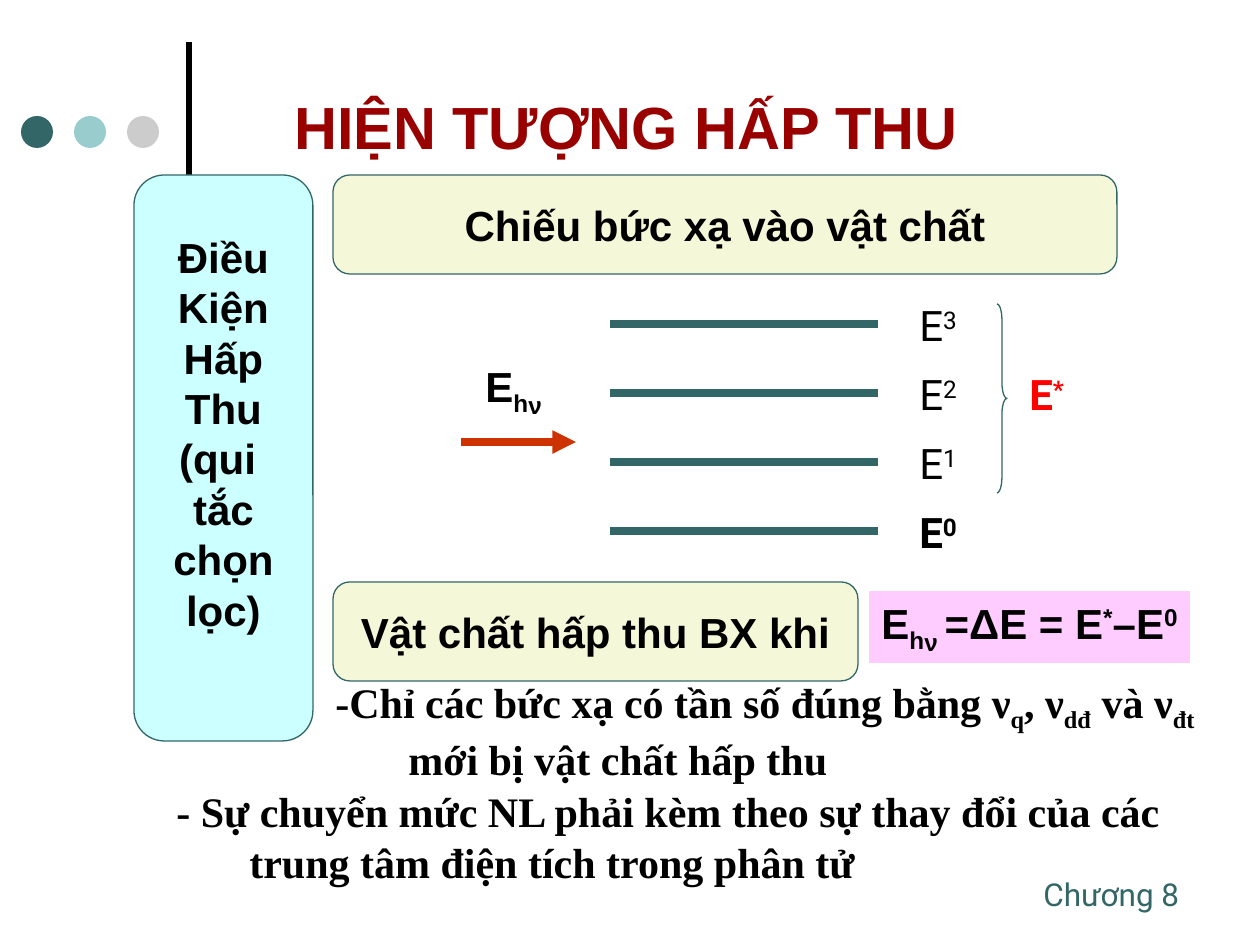
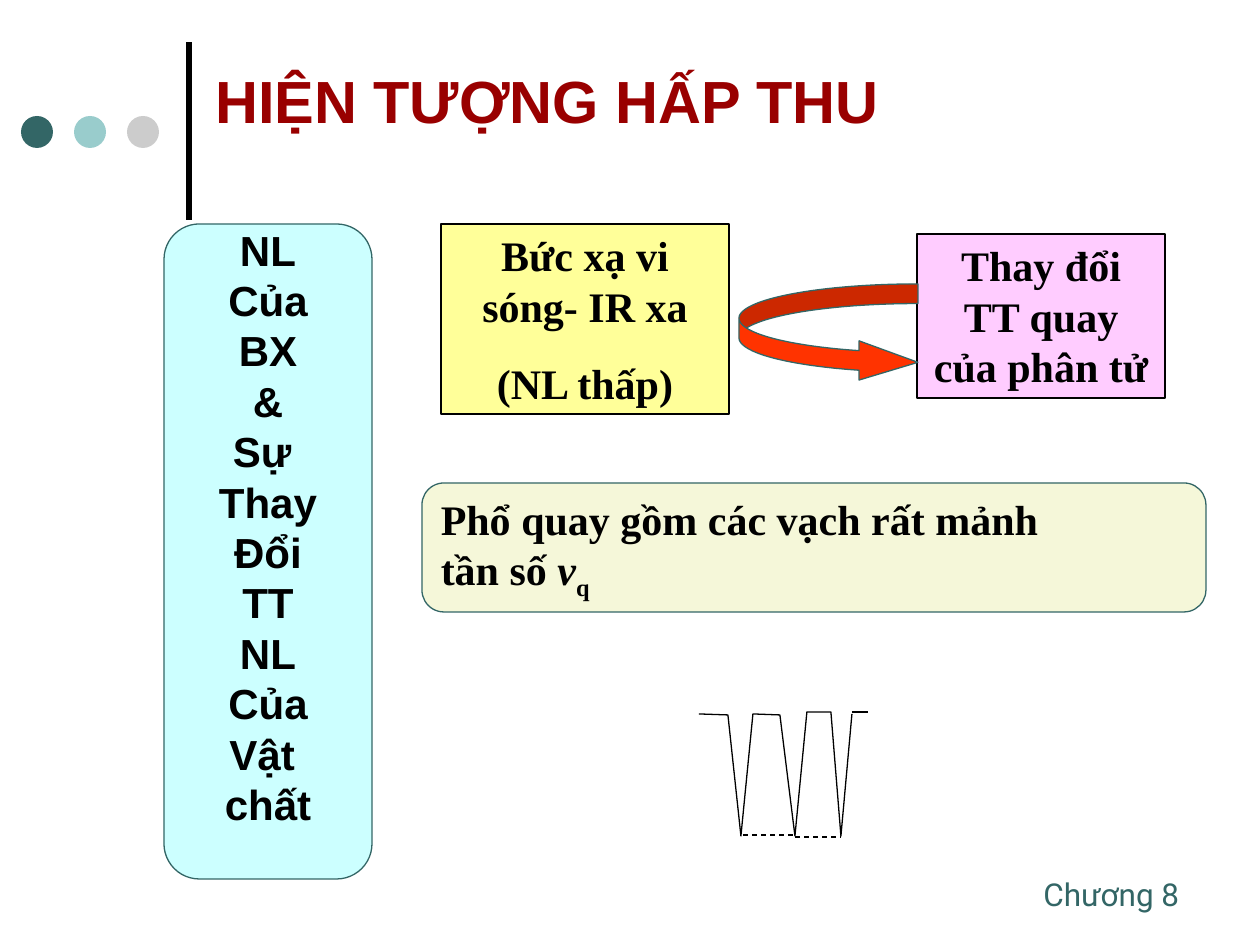
"""Build two slides on light absorption and energy levels."""
import pptx
import pptx.util
from lxml import etree
from pptx.dml.color import RGBColor
from pptx.enum.dml import MSO_LINE
from pptx.enum.shapes import MSO_CONNECTOR, MSO_SHAPE
from pptx.enum.text import MSO_ANCHOR, PP_ALIGN
from pptx.oxml.ns import qn

PX = 914400 / 126
SANS, SERIF, LIGHT = "Arial", "Times New Roman", "Roboto"
BLACK = RGBColor(0x00, 0x00, 0x00)
WHITE = RGBColor(0xFF, 0xFF, 0xFF)
TEAL = RGBColor(0x33, 0x66, 0x66)
AQUA = RGBColor(0x99, 0xCC, 0xCC)
GREY = RGBColor(0xCC, 0xCC, 0xCC)
CYAN = RGBColor(0xCC, 0xFF, 0xFF)
CREAM = RGBColor(0xF5, 0xF7, 0xD9)
PINK = RGBColor(0xFF, 0xCC, 0xFF)
YELLOW = RGBColor(0xFF, 0xFF, 0x99)
MAROON = RGBColor(0x99, 0x00, 0x00)
RUST = RGBColor(0xCC, 0x33, 0x00)
ORANGE = RGBColor(0xFF, 0x33, 0x00)
RED = RGBColor(0xFF, 0x00, 0x00)

TITLE = "HIỆN TƯỢNG HẤP THU"
FOOTER = "Chương 8"
CONDITION = ["Điều", "Kiện", "Hấp", "Thu", "(qui ", "tắc", "chọn", "lọc)"]
ENERGY = ["NL", "Của", "BX", "&", "Sự ", "Thay", "Đổi", "TT", "NL", "Của", "Vật ", "chất"]
PHOTON = [("E", 0), ("h", -25), ("ν", -30)]
BALANCE = [("E", 0), ("h", -25), ("ν ", -30), ("=ΔE = E", 0), ("*", 30), ("–E", 0), ("0", 30)]
RULES = [
    ((323, 670, 902, 121), [
        ("-Chỉ các bức xạ có tần số đúng bằng ν", 0), ("q", -25), (", ν", 0), ("dđ", -25),
        (" và ν", 0), ("đt", -25), (" mới bị vật chất hấp thu", 0)]),
    ((164, 780, 1057, 113),
     "- Sự chuyển mức NL phải kèm theo sự thay đổi của các trung tâm điện tích trong phân tử"),
]
LEVELS = ["3", "2", "1", "0"]
MICROWAVE = ["Bức xạ vi sóng- IR xa", "(NL thấp)"]
ROTATION = ["Thay đổi TT quay của phân tử"]
SPECTRUM = ["Phổ quay gồm các vạch rất mảnh", [("tần số ", 0), ("ν", 0, True), ("q", -25)]]
PEAKS = [(699, 714), (728, 715), (741, 836), (753, 714), (780, 715), (795, 836),
         (807, 712), (831, 712), (841, 836), (852, 714)]


def emu(*lengths):
    return [round(n * PX) for n in lengths]


def write(sp, paragraphs, font=SANS, size=24, color=BLACK, bold=True, align=PP_ALIGN.LEFT,
          anchor=MSO_ANCHOR.TOP, wrap=False, gap=0, hang=0, insets=(6, 6)):
    tf = sp.text_frame
    tf.word_wrap = wrap
    tf.vertical_anchor = anchor
    tf.margin_top, tf.margin_bottom = emu(*insets)
    for i, runs in enumerate(paragraphs):
        p = tf.paragraphs[0] if i == 0 else tf.add_paragraph()
        p.alignment = align
        if i and gap:
            p.space_before = pptx.util.Pt(gap)
        if hang:
            pPr = p._p.get_or_add_pPr()
            pPr.set("marL", str(emu(hang)[0]))
            pPr.set("indent", str(emu(-hang)[0]))
        p.font.name, p.font.size, p.font.bold = font, pptx.util.Pt(size), bold
        p.font.color.rgb = color
        for text, base, *italic in [(runs, 0)] if isinstance(runs, str) else runs:
            r = p.add_run()
            r.text = text
            if base:
                r._r.get_or_add_rPr().set("baseline", str(base * 1000))
            if italic:
                r.font.italic = True
    return sp


def text(s, box, paragraphs, **style):
    return write(s.shapes.add_textbox(*emu(*box)), paragraphs, **style)


def shape(s, kind, box, fill=None, line=None, adjust=()):
    sp = s.shapes.add_shape(kind, *emu(*box))
    sp.shadow.inherit = False
    for i, value in enumerate(adjust):
        sp.adjustments[i] = value
    if fill is None:
        sp.fill.background()
    else:
        sp.fill.solid()
        sp.fill.fore_color.rgb = fill
    if line is None:
        sp.line.fill.background()
    else:
        sp.line.color.rgb = line
        sp.line.width = pptx.util.Pt(0.75)
    return sp


def rounded(s, box, fill, paragraphs, **style):
    sp = shape(s, MSO_SHAPE.ROUNDED_RECTANGLE, box, fill, TEAL, [0.17])
    return write(sp, paragraphs, anchor=MSO_ANCHOR.MIDDLE, **style)


def line(s, x1, y1, x2, y2, color=BLACK, width=0.75, dash=None, arrow=False):
    c = s.shapes.add_connector(MSO_CONNECTOR.STRAIGHT, *emu(x1, y1, x2, y2))
    c.line.color.rgb = color
    c.line.width = pptx.util.Pt(width)
    if dash:
        c.line.dash_style = dash
    if arrow:
        etree.SubElement(c.line._get_or_add_ln(), qn("a:tailEnd"), type="triangle")
    etree.SubElement(c._element.spPr, qn("a:effectLst"))


def new_slide(prs, title_box):
    s = prs.slides.add_slide(prs.slide_layouts[6])
    s.background.fill.solid()
    s.background.fill.fore_color.rgb = WHITE
    line(s, 189, 220, 189, 42, width=3)
    for i, color in enumerate([TEAL, AQUA, GREY]):
        shape(s, MSO_SHAPE.OVAL, (21 + 53 * i, 116, 32, 32), color)
    text(s, (1031, 869, 170, 50), [FOOTER], font=LIGHT, size=18, color=TEAL, bold=False)
    text(s, title_box, [TITLE], size=34, color=MAROON, anchor=MSO_ANCHOR.MIDDLE, wrap=True)
    return s


def absorption_slide(prs):
    s = new_slide(prs, (282, 76, 804, 100))
    center = PP_ALIGN.CENTER
    rounded(s, (134, 175, 179, 566), CYAN, CONDITION, align=center, insets=(0, 50))
    rounded(s, (333, 175, 784, 99), CREAM, ["Chiếu bức xạ vào vật chất"], align=center)
    rounded(s, (333, 582, 525, 99), CREAM, ["Vật chất hấp thu BX khi"], align=center)
    line(s, 461, 442, 576, 442, RUST, 4.5, arrow=True)
    text(s, (473, 354, 82, 72), [PHOTON])
    write(shape(s, MSO_SHAPE.RECTANGLE, (869, 591, 321, 72), PINK), [BALANCE])
    for box, rule in RULES:
        text(s, box, [rule], font=SERIF, wrap=True, hang=73)
    for i, level in enumerate(LEVELS):
        y = 324 + 69 * i
        line(s, 610, y, 878, y, TEAL, 4.5)
        text(s, (907, y - 30, 100, 63), [[("E", 0), (level, 30)]],
             font=LIGHT, bold=level == "0", wrap=True)
    shape(s, MSO_SHAPE.RIGHT_BRACE, (997, 304, 10, 189), None, TEAL, [1.56])
    text(s, (1017, 363, 79, 63), [[("E", 0), ("*", 30)]], font=LIGHT, color=RED, wrap=True)


def rotation_slide(prs):
    s = new_slide(prs, (203, 35, 1057, 129))
    for box, fill, words in [((441, 224, 288, 190), YELLOW, MICROWAVE),
                             ((917, 234, 248, 164), PINK, ROTATION)]:
        write(shape(s, MSO_SHAPE.RECTANGLE, box, fill, BLACK), words,
              font=SERIF, align=PP_ALIGN.CENTER, wrap=True, gap=15)
    rounded(s, (164, 224, 208, 655), CYAN, ENERGY, align=PP_ALIGN.CENTER, insets=(0, 50))
    rounded(s, (422, 483, 784, 129), CREAM, SPECTRUM, font=SERIF)
    shape(s, MSO_SHAPE.CURVED_RIGHT_ARROW, (739, 284, 179, 98), ORANGE, TEAL, [0.2, 0.4, 0.6])
    builder = s.shapes.build_freeform(*PEAKS[0], scale=PX)
    builder.add_line_segments(PEAKS[1:], close=False)
    peaks = builder.convert_to_shape()
    peaks.shadow.inherit = False
    peaks.fill.background()
    peaks.line.color.rgb = BLACK
    peaks.line.width = pptx.util.Pt(0.75)
    line(s, 852, 712, 868, 712)
    line(s, 743, 835, 793, 835, dash=MSO_LINE.DASH)
    line(s, 795, 837, 841, 837, dash=MSO_LINE.DASH)


def main():
    prs = pptx.Presentation()
    prs.slide_width, prs.slide_height = emu(1260, 945)
    absorption_slide(prs)
    rotation_slide(prs)
    prs.save("out.pptx")


if __name__ == "__main__":
    main()
